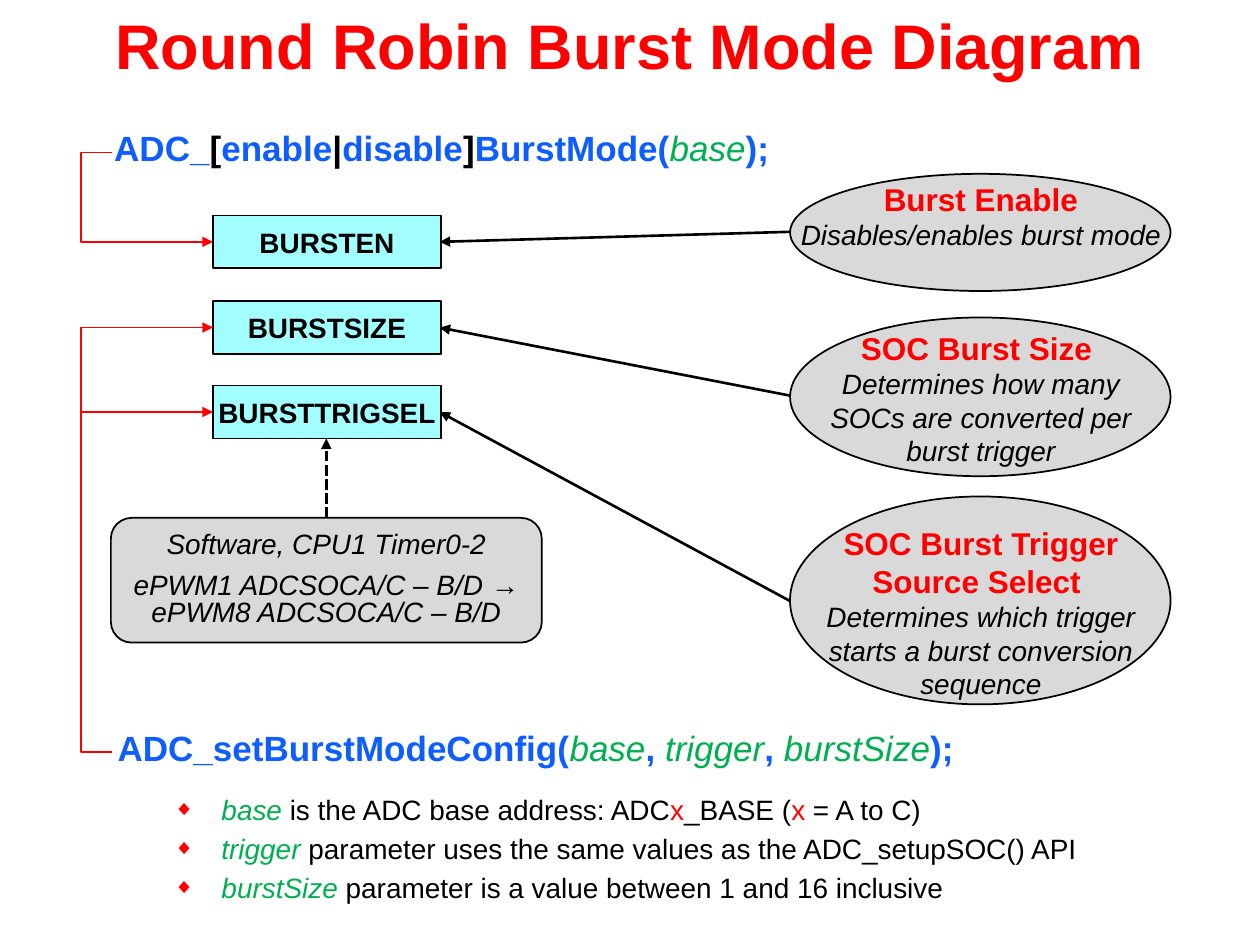
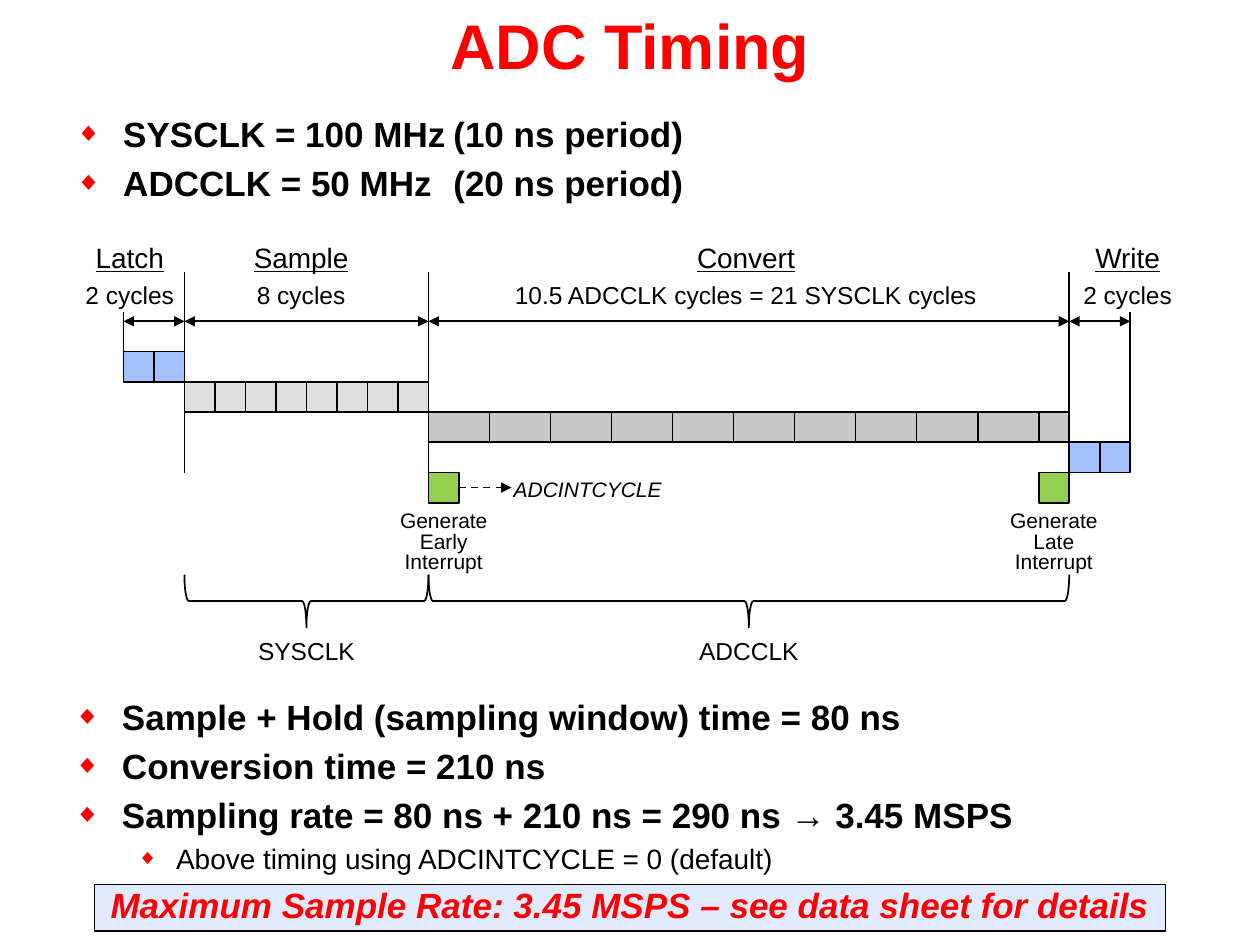
from dataclasses import dataclass
from typing import NamedTuple, Optional

import lxml.etree
import pptx
import pptx.dml.color
import pptx.enum.dml
import pptx.enum.shapes
import pptx.enum.text
import pptx.oxml.ns
import pptx.util

Inches = pptx.util.Inches
Pt = pptx.util.Pt
SHAPE = pptx.enum.shapes.MSO_SHAPE
CONNECTOR = pptx.enum.shapes.MSO_CONNECTOR
ANCHOR = pptx.enum.text.MSO_ANCHOR
ALIGN = pptx.enum.text.PP_ALIGN
DASH = pptx.enum.dml.MSO_LINE

COLORS = {
    "black": "000000", "red": "FF0000", "code": "0D5DFF", "argument": "00B050",
    "register": "A3FFFF", "callout": "D9D9D9", "banner": "E0EBFF", "latch": "A3C2FF",
    "sample": "DEDEDE", "convert": "C7C7C7", "interrupt": "92D050",
}

# Character formats, each a dict of font attributes plus a colour key
PLAIN = {"size": 16, "color": "black"}
ITALIC = {**PLAIN, "italic": True}
REGISTER = {**PLAIN, "bold": True}
ARGUMENT = {**ITALIC, "color": "argument"}
VARIABLE = {**PLAIN, "color": "red"}
HEADING = {"size": 18, "color": "red", "bold": True}
TITLE = {"size": 36, "color": "red", "bold": True}
CODE = {"size": 20, "color": "code", "bold": True}
CODE_SYMBOL = {**CODE, "color": "black"}
CODE_ARGUMENT = {"size": 20, "color": "argument", "italic": True}
KEY_POINT = {"size": 20, "color": "black", "bold": True}
BANNER = {"size": 20, "color": "red", "bold": True, "italic": True}
PHASE = {**PLAIN, "underline": True}
CYCLES = {"size": 14, "color": "black"}
NOTE = {"size": 12, "color": "black"}


class Box(NamedTuple):
    left: float
    top: float
    width: float
    height: float

    def lengths(self) -> list:
        return [Inches(value) for value in self]


class Span(NamedTuple):
    text: str
    style: dict


class Bullet(NamedTuple):
    margin: float
    hang: float


@dataclass
class Para:
    spans: list
    spacing: Optional[float] = None
    before: float = 0
    bullet: Optional[Bullet] = None


@dataclass
class Callout:
    ellipse: Box
    text_box: Box
    heading: str
    body: str
    arrow_y: float
    register_y: float
    wrap: bool = True


@dataclass
class Phase:
    name: str
    duration: str
    cells: list
    color: str
    label_x: float
    label_width: float
    duration_width: float


FIRST_LEVEL = Bullet(0.38, -0.38)
SECOND_LEVEL = Bullet(0.81, -0.31)


def add_node(parent, tag: str, **attributes: str):
    return lxml.etree.SubElement(parent, pptx.oxml.ns.qn(tag), attributes)


def color_of(name: str):
    return pptx.dml.color.RGBColor.from_string(COLORS[name])


def line_para(text: str, style: dict, spacing: Optional[float] = 0.8, before: float = 0) -> Para:
    return Para([Span(text, style)], spacing, before)


def bullets(rows: list, level: Bullet = FIRST_LEVEL) -> list:
    # The gap above a bullet is a fifth of its text size
    return [Para(row, before=row[0].style["size"] / 5 if index else 0, bullet=level)
            for index, row in enumerate(rows)]


def write(shape, paras: list, align=ALIGN.CENTER, anchor=ANCHOR.TOP, wrap: bool = True,
          insets: tuple = (0.1, 0.05)) -> None:
    frame = shape.text_frame
    side, end = (Inches(value) for value in insets)
    settings = {"word_wrap": wrap, "vertical_anchor": anchor, "margin_left": side,
                "margin_right": side, "margin_top": end, "margin_bottom": end}
    for name, value in settings.items():
        setattr(frame, name, value)
    for index, para in enumerate(paras):
        paragraph = frame.add_paragraph() if index else frame.paragraphs[0]
        if para.bullet:
            properties = paragraph._p.get_or_add_pPr()
            properties.set("marL", str(Inches(para.bullet.margin)))
            properties.set("indent", str(Inches(para.bullet.hang)))
            add_node(add_node(properties, "a:buClr"), "a:srgbClr", val=COLORS["red"])
            add_node(properties, "a:buSzPct", val="75000")
            add_node(properties, "a:buFont", typeface="Arial")
            add_node(properties, "a:buChar", char="◆")
        paragraph.alignment = align
        paragraph.space_before = Pt(para.before)
        if para.spacing:
            paragraph.line_spacing = para.spacing
        for span in para.spans:
            run = paragraph.add_run()
            run.text = span.text
            formats = {"name": "Arial", "bold": False, "italic": False, **span.style}
            run.font.color.rgb = color_of(formats.pop("color"))
            formats["size"] = Pt(formats["size"])
            for name, value in formats.items():
                setattr(run.font, name, value)


def add_text(page, box: Box, paras: list, **options) -> None:
    write(page.shapes.add_textbox(*box.lengths()), paras, **options)


def add_shape(page, kind, box: Box, fill: Optional[str] = None):
    shape = page.shapes.add_shape(kind, *box.lengths())
    shape.shadow.inherit = False
    if fill:
        shape.fill.solid()
        shape.fill.fore_color.rgb = color_of(fill)
    else:
        shape.fill.background()
    shape.line.color.rgb = color_of("black")
    shape.line.width = Pt(1)
    return shape


def add_line(page, start: tuple, end: tuple, color: str = "black", width: float = 1,
             dash=None, heads: tuple = (), bend: Optional[float] = None) -> None:
    kind = CONNECTOR.STRAIGHT if bend is None else CONNECTOR.ELBOW
    line = page.shapes.add_connector(kind, *(Inches(value) for value in start + end))
    line.line.color.rgb = color_of(color)
    line.line.width = Pt(width)
    if dash:
        line.line.dash_style = dash
    for head in heads:
        add_node(line.line._get_or_add_ln(), f"a:{head}", type="triangle")
    properties = line._element.spPr
    add_node(properties, "a:effectLst")
    if bend is not None:
        guides = properties.find(pptx.oxml.ns.qn("a:prstGeom")).get_or_add_avLst()
        add_node(guides, "a:gd", name="adj1", fmla=f"val {round(bend * 100000)}")


def add_page(deck, title: str):
    page = deck.slides.add_slide(deck.slide_layouts[6])
    add_text(page, Box(0, 0, 10, 0.81), [line_para(title, TITLE, None)])
    return page


def build_burst_page(deck) -> None:
    page = add_page(deck, "Round Robin Burst Mode Diagram")
    register_left, register_right = 1.69, 3.49
    register_y = [1.92, 2.6, 3.27]

    # Callouts with arrows to their registers
    callouts = [
        Callout(Box(6.27, 1.38, 3.02, 0.93), Box(6.24, 1.38, 3.09, 0.67), "Burst Enable",
                "Disables/enables burst mode", 1.84, register_y[0], wrap=False),
        Callout(Box(6.27, 2.52, 3.02, 1.26), Box(6.27, 2.56, 3.03, 1.21), "SOC Burst Size ",
                "Determines how many SOCs are converted per burst trigger", 3.14, register_y[1]),
        Callout(Box(6.27, 3.94, 3.02, 1.65), Box(6.27, 4.11, 3.03, 1.51),
                "SOC Burst Trigger Source Select ",
                "Determines which trigger starts a burst conversion sequence", 4.77, register_y[2]),
    ]
    for item in callouts:
        add_shape(page, SHAPE.OVAL, item.ellipse, "callout")
        add_text(page, item.text_box, [line_para(item.heading, HEADING, None),
                                       line_para(item.body, ITALIC, None)], wrap=item.wrap)
        add_line(page, (item.ellipse.left, item.arrow_y), (register_right, item.register_y),
                 width=1.5, heads=("tailEnd",))

    # Register fields
    for name, middle in zip(["BURSTEN", "BURSTSIZE", "BURSTTRIGSEL"], register_y):
        field = add_shape(page, SHAPE.RECTANGLE, Box(register_left, middle - 0.21, 1.81, 0.42),
                          "register")
        write(field, [line_para(name, REGISTER, None)], anchor=ANCHOR.MIDDLE, wrap=False,
              insets=(0, 0))

    # Trigger sources
    sources = add_shape(page, SHAPE.ROUNDED_RECTANGLE, Box(0.88, 4.11, 3.42, 0.99), "callout")
    write(sources, [
        line_para("Software, CPU1 Timer0-2", ITALIC),
        Para([Span("ePWM1 ADCSOCA/C – B/D ", ITALIC), Span("→", PLAIN),
              Span(" ePWM8 ADCSOCA/C – B/D", ITALIC)], 0.8, 8),
    ], anchor=ANCHOR.MIDDLE)
    add_line(page, (2.59, 4.11), (2.59, 3.48), width=2, dash=DASH.SQUARE_DOT, heads=("tailEnd",))

    # Function calls and the red lines to the fields they set
    enable_call = [Span("ADC_", CODE), Span("[", CODE_SYMBOL), Span("enable", CODE),
                   Span("|", CODE_SYMBOL), Span("disable", CODE), Span("]", CODE_SYMBOL),
                   Span("BurstMode(", CODE), Span("base", CODE_ARGUMENT), Span(");", CODE)]
    config_call = [Span("ADC_setBurstModeConfig(", CODE), Span("base", CODE_ARGUMENT),
                   Span(", ", CODE), Span("trigger", CODE_ARGUMENT), Span(", ", CODE),
                   Span("burstSize", CODE_ARGUMENT), Span(");", CODE)]
    calls = [(Box(0.89, 1.02, 5.23, 0.37), enable_call, register_y[0]),
             (Box(0.89, 5.78, 6.72, 0.37), config_call, register_y[1])]
    for box, spans, target_y in calls:
        add_text(page, box, [Para(spans, 0.8)], insets=(0, 0.05))
        add_line(page, (box.left, box.top + 0.19), (register_left, target_y), "red",
                 heads=("tailEnd",), bend=-0.31)
    add_line(page, (register_left, register_y[2]), (0.64, register_y[2]), "red",
             heads=("headEnd",))

    # Argument notes
    add_text(page, Box(1.28, 6.24, 7.46, 1.04), bullets([
        [Span("base", ARGUMENT), Span(" is the ADC base address: ADC", PLAIN),
         Span("x", VARIABLE), Span("_BASE (", PLAIN), Span("x", VARIABLE),
         Span(" = A to C)", PLAIN)],
        [Span("trigger", ARGUMENT),
         Span(" parameter uses the same values as the ADC_setupSOC() API", PLAIN)],
        [Span("burstSize", ARGUMENT),
         Span(" parameter is a value between 1 and 16 inclusive", PLAIN)],
    ]), align=ALIGN.LEFT)


def build_timing_page(deck) -> None:
    page = add_page(deck, "ADC Timing")
    clocks = ["SYSCLK = 100 MHz\t(10 ns period)", "ADCCLK = 50 MHz\t(20 ns period)"]
    add_text(page, Box(0.5, 0.84, 9, 0.98),
             bullets([[Span(text, KEY_POINT)] for text in clocks]), align=ALIGN.LEFT)

    # Phases: cell lengths are in system clock cycles, one row lower per phase
    cycle, row_height, first_row = 7.99 / 33, 0.24, 2.79
    phases = [
        Phase("Latch", "2 cycles", [1] * 2, "latch", 1.03, 0.74, 0.91),
        Phase("Sample", "8 cycles", [1] * 8, "sample", 2.39, 0.95, 0.91),
        Phase("Convert", "10.5 ADCCLK cycles = 21 SYSCLK cycles", [2] * 10 + [1], "convert",
              5.92, 0.98, 3.95),
        Phase("Write", "2 cycles", [1] * 2, "latch", 8.95, 0.72, 0.91),
    ]
    bounds = [0.98]
    for row, phase in enumerate(phases):
        left = bounds[-1]
        for cells in phase.cells:
            add_shape(page, SHAPE.RECTANGLE, Box(left, first_row + row * row_height,
                                                 cells * cycle, row_height), phase.color)
            left += cells * cycle
        add_line(page, (bounds[-1], 2.55), (left, 2.55), heads=("headEnd", "tailEnd"))
        bounds.append(left)
        for text, style, top, width in [(phase.name, PHASE, 1.91, phase.label_width),
                                        (phase.duration, CYCLES, 2.22, phase.duration_width)]:
            add_text(page, Box(phase.label_x - width / 2, top, width, 0.3),
                     [line_para(text, style)], wrap=False)
    extents = [(2.48, 2.79), (2.16, 3.75), (2.16, 3.75), (2.16, 3.27), (2.48, 3.51)]
    for x, (top, bottom) in zip(bounds, extents):
        add_line(page, (x, top), (x, bottom))

    # Interrupts
    sample_start, convert_start, convert_end = bounds[1:4]
    for left, kind in [(convert_start, "Early"), (convert_end - cycle, "Late")]:
        add_shape(page, SHAPE.RECTANGLE, Box(left, 3.75, cycle, row_height), "interrupt")
        add_text(page, Box(left + cycle / 2 - 0.4, 4.07, 0.8, 0.48),
                 [line_para(f"Generate {kind}", NOTE), line_para("Interrupt", NOTE)],
                 insets=(0, 0))
    add_line(page, (convert_start + cycle, 3.87), (4.06, 3.87), dash=DASH.DASH,
             heads=("tailEnd",))
    add_text(page, Box(4.07, 3.82, 1.19, 0.16),
             [line_para("ADCINTCYCLE", {**NOTE, "italic": True})],
             anchor=ANCHOR.MIDDLE, wrap=False, insets=(0, 0))

    # Clock braces, turned to point down
    depth, brace_middle, label_width = 0.42, 4.77, 1.2
    for name, start, end in [("SYSCLK", sample_start, convert_start),
                             ("ADCCLK", convert_start, convert_end)]:
        middle, length = (start + end) / 2, end - start
        brace = add_shape(page, SHAPE.LEFT_BRACE, Box(middle - depth / 2,
                          brace_middle - length / 2, depth, length))
        brace.rotation = 270
        add_text(page, Box(middle - label_width / 2, 5.04, label_width, 0.29),
                 [line_para(name, CYCLES)], wrap=False)

    # Results and banner
    results = ["Sample + Hold (sampling window) time = 80 ns", "Conversion time = 210 ns",
               "Sampling rate = 80 ns + 210 ns = 290 ns → 3.45 MSPS"]
    detail = Para([Span("Above timing using ADCINTCYCLE = 0 (default)", PLAIN)],
                  before=3.2, bullet=SECOND_LEVEL)
    add_text(page, Box(0.49, 5.47, 9, 1.55),
             bullets([[Span(text, KEY_POINT)] for text in results]) + [detail], align=ALIGN.LEFT)
    banner = add_shape(page, SHAPE.RECTANGLE, Box(0.75, 7.02, 8.5, 0.37), "banner")
    write(banner, [line_para("Maximum Sample Rate: 3.45 MSPS – see data sheet for details", BANNER)],
          anchor=ANCHOR.BOTTOM, wrap=False)


def main() -> None:
    deck = pptx.Presentation()
    deck.slide_width, deck.slide_height = Inches(10), Inches(7.5)
    build_burst_page(deck)
    build_timing_page(deck)
    deck.save("out.pptx")


if __name__ == "__main__":
    main()
